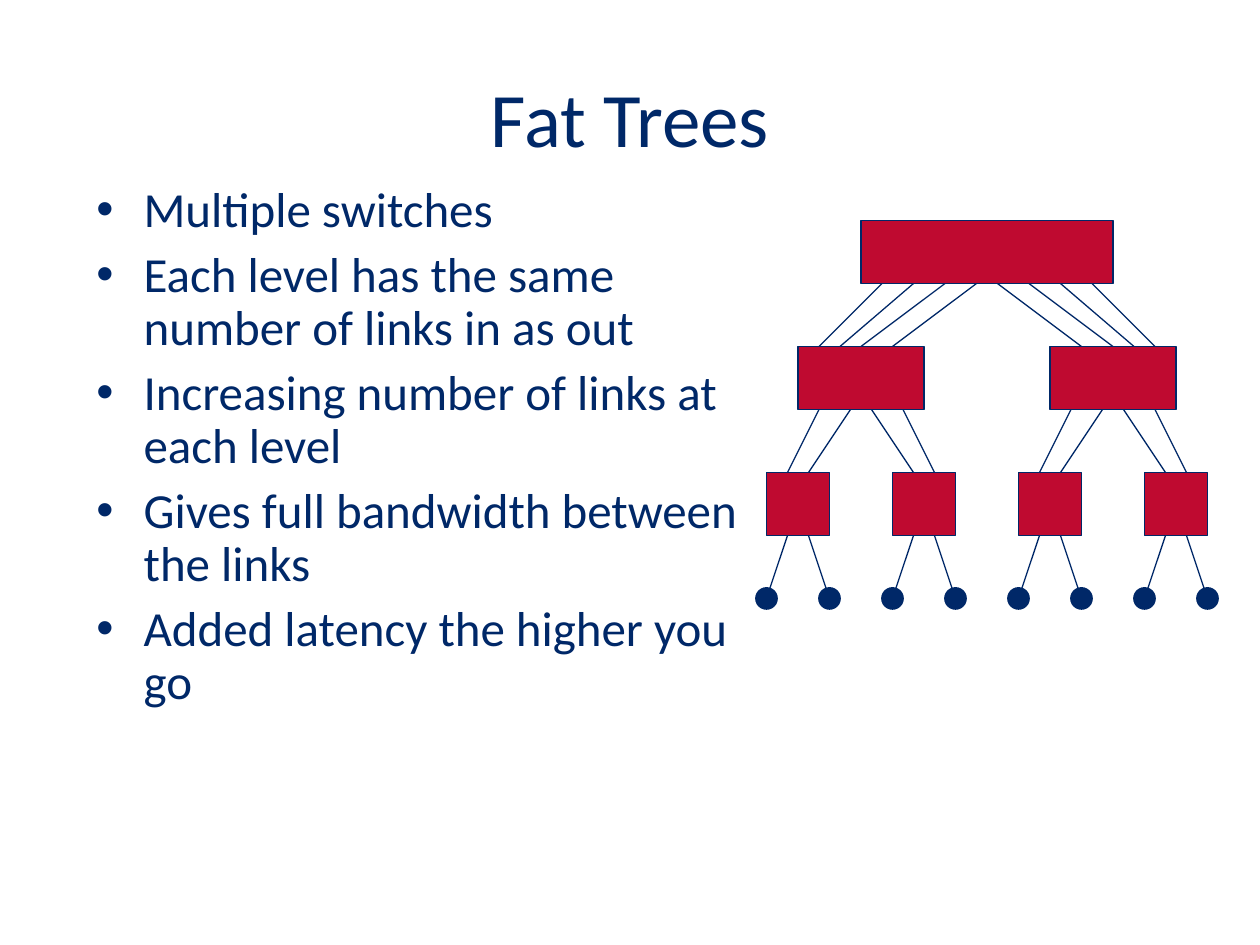
from dataclasses import dataclass

from lxml.etree import SubElement
from pptx import Presentation
from pptx.dml.color import RGBColor
from pptx.enum.shapes import MSO_CONNECTOR as Connector, MSO_SHAPE as Preset
from pptx.enum.text import MSO_ANCHOR as Anchor, PP_ALIGN as Align
from pptx.oxml.ns import qn
from pptx.shapes.group import GroupShape
from pptx.slide import Slide
from pptx.text.text import TextFrame, _Paragraph as Paragraph
from pptx.util import Emu, Pt


@dataclass(frozen=True)
class Theme:
    font: str = "Calibri"
    navy: RGBColor = RGBColor(0x00, 0x28, 0x68)
    red: RGBColor = RGBColor(0xBF, 0x0A, 0x30)
    title_size: int = 44
    body_size: int = 28
    body_gap: int = 7
    body_spacing: float = 0.9
    link_width: float = 0.75
    node_line_width: float = 1


@dataclass(frozen=True)
class Box:
    left: int
    top: int
    width: int
    height: int


@dataclass(frozen=True)
class Level:
    centers: tuple[int, ...]
    top: int
    width: int
    child_top: int
    links: tuple[tuple[int, int], ...]


THEME = Theme()
SLIDE_WIDTH, SLIDE_HEIGHT = 1200, 900
TITLE_BOX = Box(60, 36, 1080, 150)
BODY_BOX = Box(80, 170, 640, 580)
BULLET_INDENT = 45
SWITCH_HEIGHT = 60
NODE_SIZE = 20
NODE_CENTERS = tuple(range(730, 1151, 60))
NODE_Y = 570
LEVELS = (
    Level((760, 880, 1000, 1120), 450, 60, NODE_Y, ((-30, -10),)),
    Level((820, 1060), 330, 120, 450, ((-70, -40), (-50, -10))),
    Level((940,), 210, 240, 330,
          ((-160, -100), (-140, -70), (-120, -40), (-90, -10))),
)
BULLETS = (
    "Multiple switches",
    "Each level has the same number of links in as out",
    "Increasing number of links at each level",
    "Gives full bandwidth between the links",
    "Added latency the higher you go",
)


def px(length: int) -> Emu:
    return Emu(length * 7620)


def add_text_frame(slide: Slide, box: Box, text: str) -> TextFrame:
    shape = slide.shapes.add_textbox(
        px(box.left), px(box.top), px(box.width), px(box.height))
    text_frame = shape.text_frame
    text_frame.word_wrap = True
    text_frame.text = text
    return text_frame


def format_runs(paragraph: Paragraph, size: int) -> None:
    for run in paragraph.runs:
        run.font.name = THEME.font
        run.font.size = Pt(size)
        run.font.color.rgb = THEME.navy


def add_bullet(paragraph: Paragraph) -> None:
    properties = paragraph._p.get_or_add_pPr()
    properties.set("marL", str(px(BULLET_INDENT)))
    properties.set("indent", str(-px(BULLET_INDENT)))
    color = SubElement(properties, qn("a:buClr"))
    SubElement(color, qn("a:srgbClr")).set("val", str(THEME.navy))
    SubElement(properties, qn("a:buFont")).set("typeface", "Arial")
    SubElement(properties, qn("a:buChar")).set("char", "•")


def add_title(slide: Slide) -> None:
    text_frame = add_text_frame(slide, TITLE_BOX, "Fat Trees")
    text_frame.vertical_anchor = Anchor.MIDDLE
    paragraph = text_frame.paragraphs[0]
    paragraph.alignment = Align.CENTER
    format_runs(paragraph, THEME.title_size)


def add_body(slide: Slide) -> None:
    text_frame = add_text_frame(slide, BODY_BOX, "\n".join(BULLETS))
    for index, paragraph in enumerate(text_frame.paragraphs):
        add_bullet(paragraph)
        paragraph.line_spacing = THEME.body_spacing
        paragraph.space_before = Pt(THEME.body_gap if index else 0)
        format_runs(paragraph, THEME.body_size)


def add_block(tree: GroupShape, preset: Preset, box: Box,
              fill: RGBColor, line_width: float) -> None:
    shape = tree.shapes.add_shape(
        preset, px(box.left), px(box.top), px(box.width), px(box.height))
    shape.shadow.inherit = False
    shape.fill.solid()
    shape.fill.fore_color.rgb = fill
    shape.line.color.rgb = THEME.navy
    shape.line.width = Pt(line_width)


def add_link(tree: GroupShape, start: tuple[int, int], end: tuple[int, int]) -> None:
    link = tree.shapes.add_connector(
        Connector.STRAIGHT, px(start[0]), px(start[1]), px(end[0]), px(end[1]))
    link.line.color.rgb = THEME.navy
    link.line.width = Pt(THEME.link_width)
    SubElement(link._element.spPr, qn("a:effectLst"))


def add_nodes(tree: GroupShape) -> None:
    radius = NODE_SIZE // 2
    for center in NODE_CENTERS:
        box = Box(center - radius, NODE_Y - radius, NODE_SIZE, NODE_SIZE)
        add_block(tree, Preset.OVAL, box, THEME.navy, THEME.node_line_width)


def add_switches(tree: GroupShape, level: Level) -> None:
    for center in level.centers:
        box = Box(center - level.width // 2, level.top, level.width, SWITCH_HEIGHT)
        add_block(tree, Preset.RECTANGLE, box, THEME.red, THEME.link_width)


def add_links(tree: GroupShape, level: Level) -> None:
    for center in level.centers:
        for side in (1, -1):
            for child_offset, switch_offset in level.links:
                add_link(tree,
                         (center + side * child_offset, level.child_top),
                         (center + side * switch_offset, level.top + SWITCH_HEIGHT))


def main() -> None:
    presentation = Presentation()
    presentation.slide_width = px(SLIDE_WIDTH)
    presentation.slide_height = px(SLIDE_HEIGHT)
    slide = presentation.slides.add_slide(presentation.slide_layouts[6])
    add_title(slide)
    add_body(slide)
    tree = slide.shapes.add_group_shape()
    add_nodes(tree)
    for level in LEVELS:
        add_switches(tree, level)
    for level in LEVELS:
        add_links(tree, level)
    presentation.save("out.pptx")


if __name__ == "__main__":
    main()
